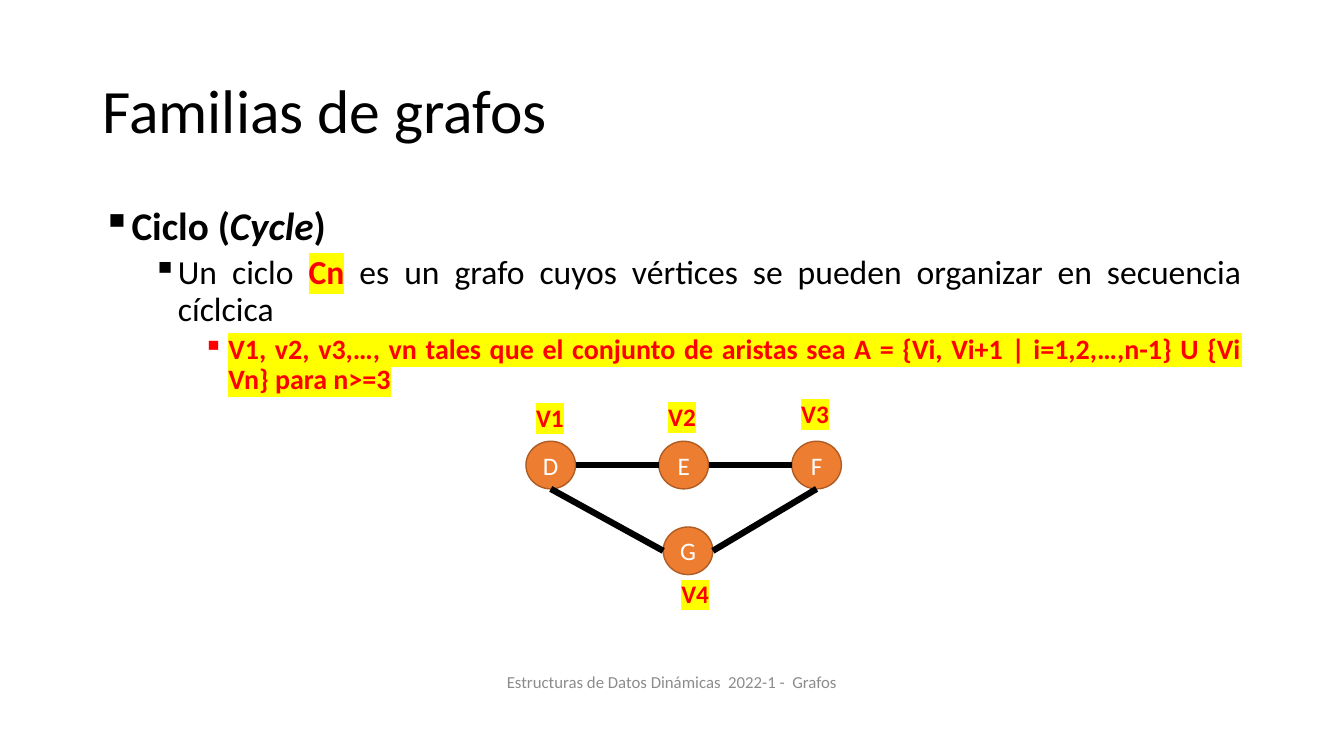
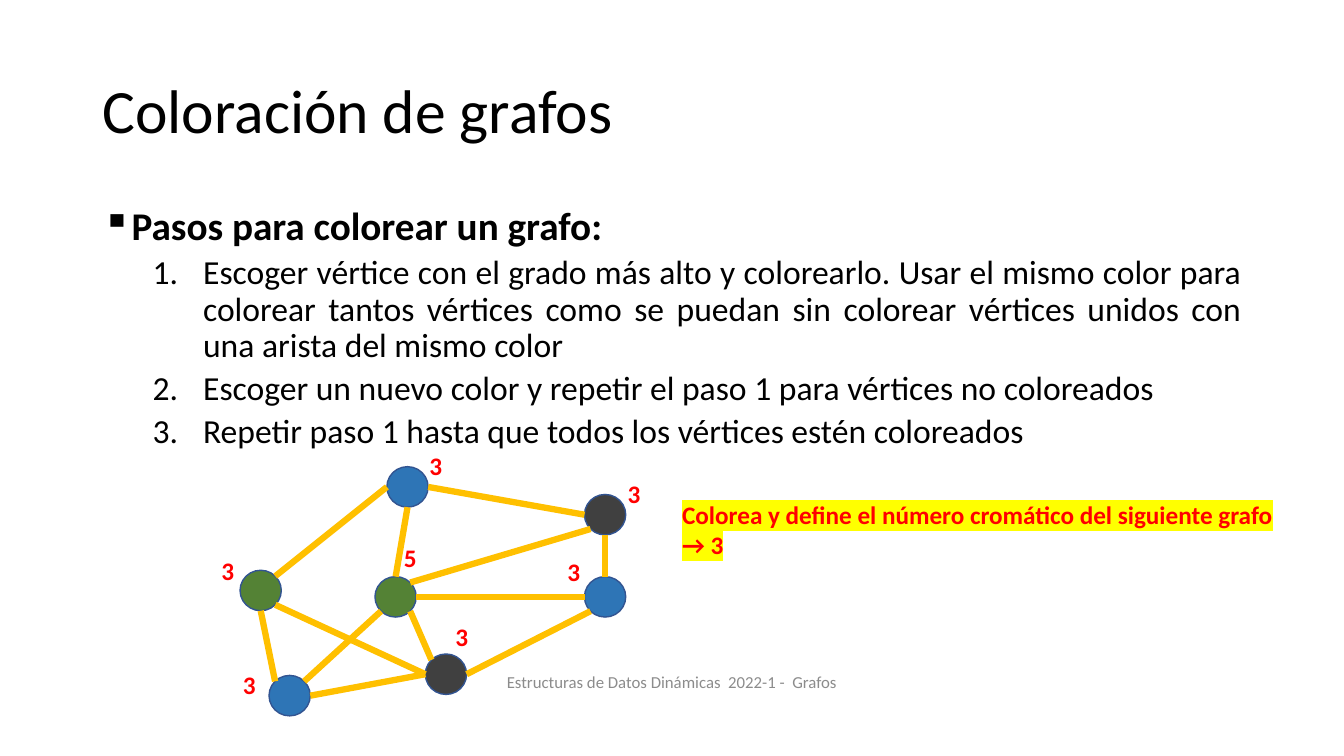
from math import cos, radians, sin

from lxml.etree import SubElement
from pptx import Presentation
from pptx.dml.color import RGBColor
from pptx.enum.shapes import MSO_CONNECTOR, MSO_SHAPE
from pptx.enum.text import MSO_ANCHOR, MSO_AUTO_SIZE, PP_ALIGN
from pptx.oxml.ns import qn
from pptx.util import Cm, Pt

FONT = "Calibri"
BLACK, WHITE, RED, YELLOW, GRAY = "000000", "FFFFFF", "FF0000", "FFFF00", "8C8C8C"
ORANGE, DARK_ORANGE, GOLD = "ED7D31", "AF5C24", "FFC000"
BLUE, GREEN, CHARCOAL, NAVY = "2E75B6", "548235", "404040", "325491"
FOOTER = "Estructuras de Datos Dinámicas  2022-1 -  Grafos"
BODY_SIZES = (28, 24, 20)
ANGLES = {"e": 0, "se": 45, "s": 90, "sw": 135, "w": 180, "nw": 225, "n": 270, "ne": 315}


def rgb(color):
    return RGBColor.from_string(color)


def add_span(para, text, size=18, color=BLACK, bold=False, italic=False, highlight=None):
    span = para.add_run()
    span.text = text
    font = span.font
    font.name, font.size, font.bold, font.italic = FONT, Pt(size), bold, italic
    font.color.rgb = rgb(color)
    if highlight:
        properties = span._r.get_or_add_rPr()
        mark = SubElement(properties, qn("a:highlight"))
        SubElement(mark, qn("a:srgbClr"), val=highlight)
        properties.find(qn("a:solidFill")).addnext(mark)


def add_box(page, left, top, width, height, anchor=MSO_ANCHOR.TOP):
    box = page.shapes.add_textbox(Cm(left), Cm(top), Cm(width), Cm(height))
    box.text_frame.word_wrap = True
    box.text_frame.vertical_anchor = anchor
    return box.text_frame


def next_para(frame):
    """Return the empty first paragraph of the frame, or else a new one."""
    first = frame.paragraphs[0]
    return frame.add_paragraph() if first.runs else first


def add_label(page, text, left, top, width=1.47, **style):
    frame = add_box(page, left, top, width, 1.02)
    add_span(frame.paragraphs[0], text, color=RED, bold=True, **style)


def add_item(frame, level, spans, numbered=False):
    """Add a justified list item; spans are (text, format) pairs."""
    para = next_para(frame)
    if para is not frame.paragraphs[0]:
        para.space_before = Pt(5)
    para.level = level
    para.alignment = PP_ALIGN.JUSTIFY
    para.line_spacing = 0.9
    hanging = 1.27 if numbered else 0.635
    properties = para._p.get_or_add_pPr()
    properties.set("marL", str(Cm(1.27 * level + hanging)))
    properties.set("indent", str(-Cm(hanging)))
    if numbered:
        SubElement(properties, qn("a:buAutoNum"), type="arabicPeriod")
    else:
        SubElement(properties, qn("a:buChar"), char="▪")
    for text, style in spans:
        add_span(para, text, size=BODY_SIZES[level], **style)


def add_page(deck, heading):
    """Add a titled page with its footer; return it with its body frame."""
    page = deck.slides.add_slide(deck.slide_layouts[5])
    title = page.shapes.title
    title.left, title.top, title.width, title.height = Cm(2.33), Cm(1.02), Cm(29.21), Cm(3.68)
    title.text_frame.vertical_anchor = MSO_ANCHOR.MIDDLE
    title.text_frame.auto_size = MSO_AUTO_SIZE.NONE
    para = title.text_frame.paragraphs[0]
    para.alignment, para.line_spacing = PP_ALIGN.LEFT, 0.9
    add_span(para, heading, size=44)
    footer = add_box(page, 11.22, 16.67, 11.43, 1.02, MSO_ANCHOR.MIDDLE).paragraphs[0]
    footer.alignment = PP_ALIGN.CENTER
    add_span(footer, FOOTER, size=12, color=GRAY)
    return page, add_box(page, 2.33, 5.08, 29.21, 12.09)


def add_vertex(page, center, size, fill, outline, text=""):
    (x, y), (width, height) = center, size
    vertex = page.shapes.add_shape(
        MSO_SHAPE.OVAL, Cm(x - width / 2), Cm(y - height / 2), Cm(width), Cm(height))
    vertex.shadow.inherit = False
    vertex.fill.solid()
    vertex.fill.fore_color.rgb = rgb(fill)
    vertex.line.color.rgb = rgb(outline)
    vertex.line.width = Pt(1)
    if text:
        frame = vertex.text_frame
        frame.margin_left = frame.margin_right = 0
        frame.vertical_anchor = MSO_ANCHOR.MIDDLE
        frame.paragraphs[0].alignment = PP_ALIGN.CENTER
        add_span(frame.paragraphs[0], text, color=WHITE)
    return vertex


def rim_point(vertex, side):
    """Return the point of the oval that faces a compass side."""
    angle = radians(ANGLES[side])
    return (round(vertex.left + vertex.width / 2 * (1 + cos(angle))),
            round(vertex.top + vertex.height / 2 * (1 + sin(angle))))


def add_edges(page, vertices, edges, color):
    for start, start_side, end, end_side in edges:
        edge = page.shapes.add_connector(
            MSO_CONNECTOR.STRAIGHT, *rim_point(vertices[start], start_side),
            *rim_point(vertices[end], end_side))
        edge.line.color.rgb = rgb(color)
        edge.line.width = Pt(4.5)
        SubElement(edge._element.spPr, qn("a:effectLst"))


def build_cycle_page(deck):
    page, body = add_page(deck, "Familias de grafos")
    bold, marked = {"bold": True}, {"color": RED, "bold": True, "highlight": YELLOW}
    add_item(body, 0, [("Ciclo (", bold), ("Cycle", {"bold": True, "italic": True}), (")", bold)])
    add_item(body, 1, [
        ("Un ciclo ", {}), ("Cn", marked),
        (" es un grafo cuyos vértices se pueden organizar en secuencia cíclcica", {})])
    add_item(body, 2, [(
        "V1, v2, v3,…, vn tales que el conjunto de aristas sea "
        "A = {Vi, Vi+1 | i=1,2,…,n-1} U {Vi Vn} para n>=3", marked)])

    centers = {"D": (13.88, 11.72), "E": (17.23, 11.72), "F": (20.58, 11.72), "G": (17.34, 13.88)}
    vertices = {name: add_vertex(page, center, (1.25, 1.2), ORANGE, DARK_ORANGE, name)
                for name, center in centers.items()}
    add_edges(page, vertices, [
        ("E", "w", "D", "e"), ("F", "w", "E", "e"),
        ("F", "s", "G", "e"), ("G", "w", "D", "s")], BLACK)
    for text, left, top in [("V1", 13.26, 10.01), ("V2", 16.59, 9.98),
                            ("V3", 19.94, 9.91), ("V4", 16.92, 14.45)]:
        add_label(page, text, left, top, highlight=YELLOW)


def build_coloring_page(deck):
    page, body = add_page(deck, "Coloración de grafos")
    add_item(body, 0, [("Pasos para colorear un grafo:", {"bold": True})])
    for step in [
        "Escoger vértice con el grado más alto y colorearlo. Usar el mismo color para colorear "
        "tantos vértices como se puedan sin colorear vértices unidos con una arista del mismo color",
        "Escoger un nuevo color y repetir el paso 1 para vértices no coloreados",
        "Repetir paso 1 hasta que todos los vértices estén coloreados",
    ]:
        add_item(body, 1, [(step, {})], numbered=True)

    # name: center, colour, degree, label corner
    graph = {
        "top": ((10.27, 12.27), BLUE, "3", (10.57, 11.23)),
        "upper right": ((15.25, 12.97), CHARCOAL, "3", (15.57, 11.94)),
        "hub": ((9.97, 15.04), GREEN, "5", (9.93, 13.54)),
        "lower right": ((15.25, 15.04), BLUE, "3", (14.05, 13.89)),
        "lower left": ((7.3, 17.53), BLUE, "3", (5.87, 16.74)),
        "left": ((6.57, 14.88), GREEN, "3", (5.33, 13.87)),
        "bottom": ((11.24, 16.99), CHARCOAL, "3", (11.23, 15.54)),
    }
    vertices = {name: add_vertex(page, center, (1.04, 1.02), color, NAVY)
                for name, (center, color, _, _) in graph.items()}
    add_edges(page, vertices, [
        ("top", "e", "upper right", "w"), ("hub", "n", "top", "s"),
        ("hub", "e", "lower right", "w"), ("upper right", "s", "lower right", "n"),
        ("hub", "ne", "upper right", "sw"), ("lower left", "ne", "hub", "sw"),
        ("left", "ne", "top", "w"), ("lower left", "nw", "left", "s"),
        ("lower left", "e", "bottom", "w"), ("bottom", "e", "lower right", "sw"),
        ("bottom", "nw", "hub", "se"), ("bottom", "w", "left", "se")], GOLD)
    for _, _, degree, corner in graph.values():
        add_label(page, degree, *corner, width=1.19)

    note = add_box(page, 16.94, 12.45, 16.92, 1.8)
    for line in ["Colorea y define el número cromático del siguiente grafo", "→ 3"]:
        add_span(next_para(note), line, color=RED, bold=True, highlight=YELLOW)


def main():
    deck = Presentation()
    deck.slide_width, deck.slide_height = Cm(33.87), Cm(19.05)
    build_cycle_page(deck)
    build_coloring_page(deck)
    deck.save("out.pptx")


if __name__ == "__main__":
    main()
